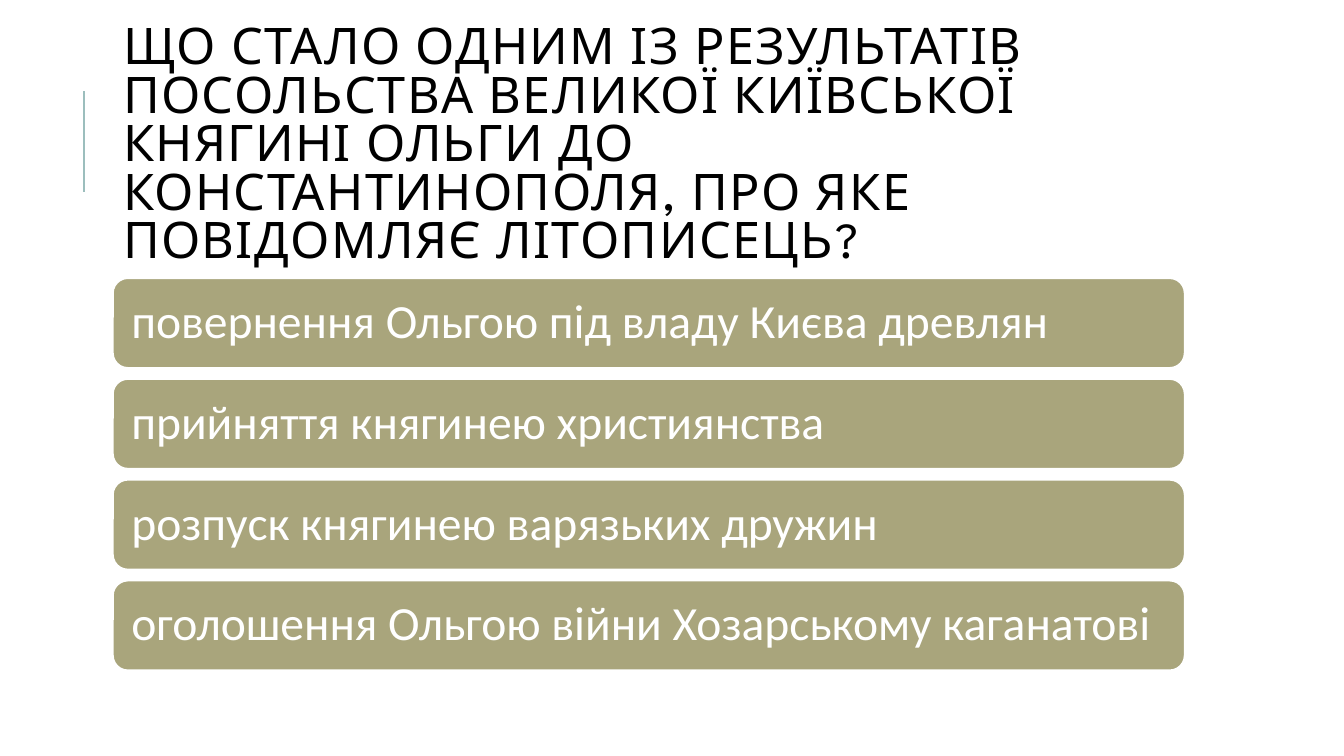
import pptx
import pptx.util
import pptx.dml.color
import pptx.enum.shapes
import pptx.enum.text
import lxml.etree

Inches = pptx.util.Inches
Pt = pptx.util.Pt

TITLE = ("ЩО СТАЛО ОДНИМ ІЗ РЕЗУЛЬТАТІВ ПОСОЛЬСТВА ВЕЛИКОЇ КИЇВСЬКОЇ "
         "КНЯГИНІ ОЛЬГИ ДО КОНСТАНТИНОПОЛЯ, ПРО ЯКЕ ПОВІДОМЛЯЄ ЛІТОПИСЕЦЬ?")
ANSWERS = [
    "повернення Ольгою під владу Києва древлян",
    "прийняття княгинею християнства",
    "розпуск княгинею варязьких дружин",
    "оголошення Ольгою війни Хозарському каганатові",
]
COLORS = {"title": "000000", "answer": "FFFFFF", "bar": "A9A57C",
          "edge": "FFFFFF", "rule": "9CBEBD"}
LEFT, WIDTH = 1.12, 10.63
TOP, HIGH, STEP = 2.76, 0.89, 1.0


def color(name):
    return pptx.dml.color.RGBColor.from_string(COLORS[name])


def write(shape, text, size, face, tint, spacing, inset=None, track=None):
    frame = shape.text_frame
    frame.word_wrap = True
    frame.auto_size = pptx.enum.text.MSO_AUTO_SIZE.NONE
    frame.vertical_anchor = pptx.enum.text.MSO_ANCHOR.MIDDLE
    if inset is not None:
        frame.margin_left = frame.margin_right = Inches(inset)
        frame.margin_top = frame.margin_bottom = Inches(inset)
    para = frame.paragraphs[0]
    para.alignment = pptx.enum.text.PP_ALIGN.LEFT
    para.line_spacing = spacing
    run = para.add_run()
    run.text = text
    run.font.size = Pt(size)
    run.font.name = face
    run.font.color.rgb = color(tint)
    if track:
        run.font._element.set("spc", str(track * 100))


def main():
    deck = pptx.Presentation()
    deck.slide_width, deck.slide_height = Inches(13.33), Inches(7.5)
    slide = deck.slides.add_slide(deck.slide_layouts[5])

    rule = slide.shapes.add_connector(
        pptx.enum.shapes.MSO_CONNECTOR.STRAIGHT,
        Inches(0.83), Inches(1.9), Inches(0.83), Inches(0.9))
    rule.line.color.rgb = color("rule")
    rule.line.width = Pt(1.5)
    lxml.etree.SubElement(rule._element.spPr, pptx.oxml.ns.qn("a:effectLst"))

    title = slide.shapes.title
    title.left, title.top = Inches(LEFT), Inches(0.64)
    title.width, title.height = Inches(WIDTH), Inches(1.64)
    write(title, TITLE, size=36, face="League Spartan", tint="title",
          spacing=0.8, track=1)

    for i, answer in enumerate(ANSWERS):
        bar = slide.shapes.add_shape(
            pptx.enum.shapes.MSO_SHAPE.ROUNDED_RECTANGLE,
            Inches(LEFT), Inches(TOP + i * STEP), Inches(WIDTH), Inches(HIGH))
        bar.shadow.inherit = False
        bar.fill.solid()
        bar.fill.fore_color.rgb = color("bar")
        bar.line.color.rgb = color("edge")
        bar.line.width = Pt(1.25)
        write(bar, answer, size=34, face="Calibri", tint="answer",
              spacing=0.9, inset=0.14)

    deck.save("out.pptx")


if __name__ == "__main__":
    main()
